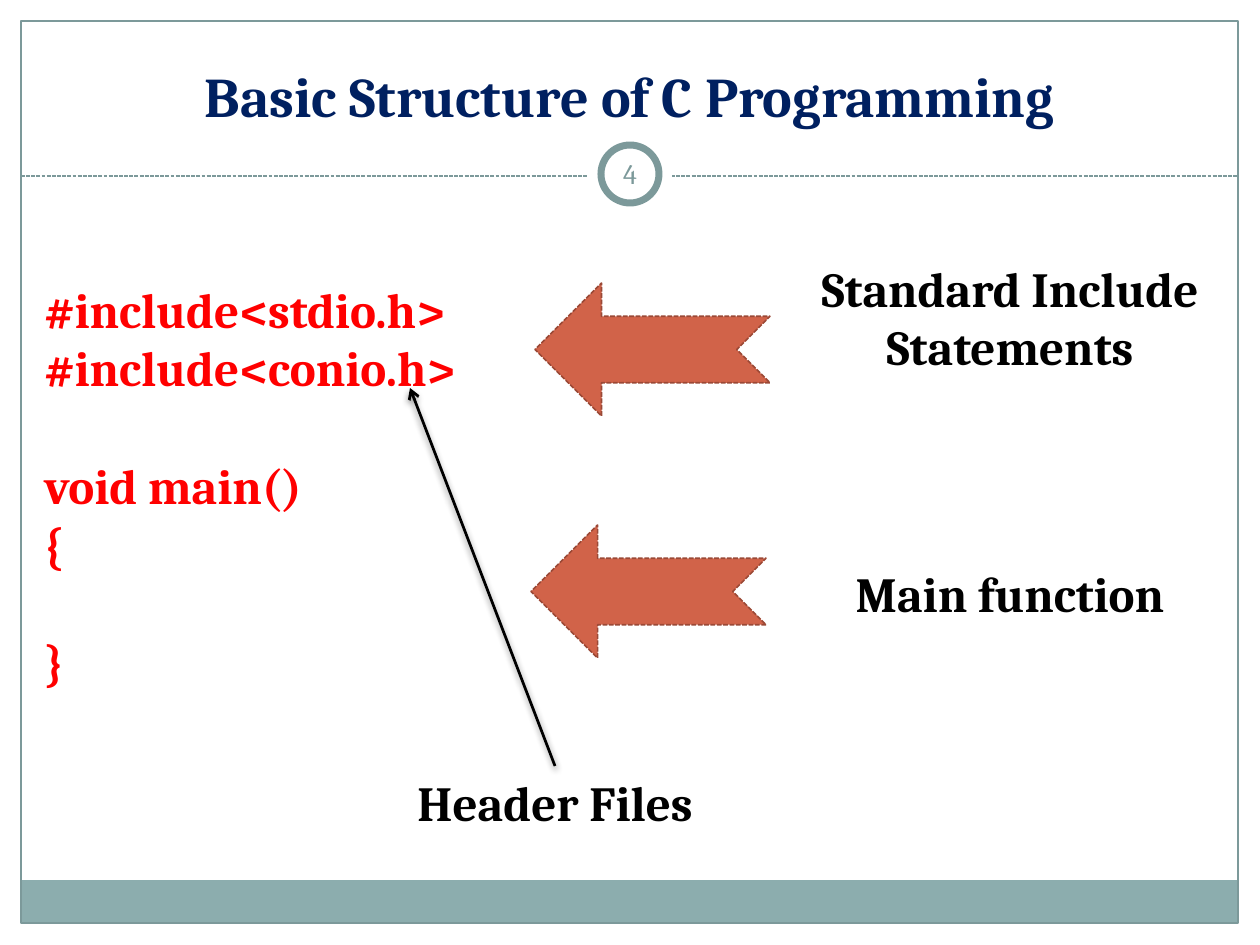
from lxml.etree import SubElement
from pptx import Presentation
from pptx.dml.color import RGBColor
from pptx.enum.dml import MSO_LINE
from pptx.enum.shapes import MSO_CONNECTOR, MSO_SHAPE as SHAPE
from pptx.enum.text import MSO_ANCHOR as ANCHOR, PP_ALIGN as ALIGN
from pptx.oxml.ns import qn
from pptx.util import Pt

PX = 914400 / 126
FONT = "Cambria"
TEAL, BAR, WHITE, BLACK = "7C999A", "8CADAE", "FFFFFF", "000000"
NAVY, RED, RUST, BROWN = "002060", "FF0000", "D16349", "9B4936"

# Content: boxes are left, top, width, height in px
TITLE = "Basic Structure of C Programming"
PAGE = "4"
LINE_GAP = 33.5  # one empty line of code, in points
CODE = [  # text, space before
    ("#include<stdio.h>", 0),
    ("#include<conio.h>", 0),
    ("void main()", LINE_GAP),
    ("{", 0),
    ("}", LINE_GAP),
]
LABELS = [
    ("Standard Include Statements", (780, 252, 460, 190)),
    ("Main function", (780, 557, 460, 72)),
    ("Header Files", (325, 766, 460, 72)),
]
ARROWS = [(535, 283), (531, 525)]
ARROW_SIZE = (235, 133)
POINTER_TIP = (410, 388)
FRAME = (21, 21, 1217, 902)
CENTER = 630
RULE_Y = 176
BADGE_Y = 174


def emu(*lengths):
    return [round(n * PX) for n in lengths]


def rgb(color):
    return RGBColor.from_string(color)


def set_line(line, color, width, dash=None):
    line.color.rgb = rgb(color)
    line.width = Pt(width)
    if dash:
        line.dash_style = dash


def add_shape(kind, box, fill=None, line=None):
    sp = shapes.add_shape(kind, *emu(*box))
    sp.shadow.inherit = False
    if fill:
        sp.fill.solid()
        sp.fill.fore_color.rgb = rgb(fill)
    else:
        sp.fill.background()
    if line:
        set_line(sp.line, *line)
    else:
        sp.line.fill.background()
    return sp


def add_text(paragraphs, box, size, color, bold=True, align=ALIGN.CENTER,
             anchor=ANCHOR.TOP, inset=None):
    sp = shapes.add_textbox(*emu(*box))
    tf = sp.text_frame
    tf.word_wrap = True
    tf.vertical_anchor = anchor
    if inset is not None:
        tf.margin_left = tf.margin_right = tf.margin_top = tf.margin_bottom = emu(inset)[0]
    for i, (text, before) in enumerate(paragraphs):
        p = tf.add_paragraph() if i else tf.paragraphs[0]
        p.alignment = align
        p.space_before = Pt(before)
        r = p.add_run()
        r.text = text
        r.font.name = FONT
        r.font.size = Pt(size)
        r.font.bold = bold
        r.font.color.rgb = rgb(color)
    return sp


def add_line(start, end, color, width, dash=None):
    cx = shapes.add_connector(MSO_CONNECTOR.STRAIGHT, *emu(*start, *end))
    set_line(cx.line, color, width, dash)
    effects = SubElement(cx.line._get_or_add_ln().getparent(), qn("a:effectLst"))
    return cx, effects


def circle(diameter):
    return (CENTER - diameter / 2, BADGE_Y - diameter / 2, diameter, diameter)


prs = Presentation()
prs.slide_width, prs.slide_height = emu(1260, 945)
shapes = prs.slides.add_slide(prs.slide_layouts[6]).shapes

# Frame, bottom bar and dashed rule
left, top, width, height = FRAME
add_shape(SHAPE.RECTANGLE, (left, 880, width, 43), BAR)
add_shape(SHAPE.RECTANGLE, FRAME, line=(TEAL, 0.75))
add_line((left, RULE_Y), (left + width, RULE_Y), TEAL, 0.75, MSO_LINE.SQUARE_DOT)

# Page number badge
add_shape(SHAPE.OVAL, circle(84), WHITE)
add_shape(SHAPE.OVAL, circle(58), WHITE, (TEAL, 4))
add_text([(PAGE, 0)], (598, 143, 64, 60), 16, TEAL, bold=False,
         anchor=ANCHOR.MIDDLE, inset=6)

# Title and code
add_text([(TITLE, 0)], (0, 21, 1260, 148), 32, NAVY, anchor=ANCHOR.MIDDLE)
add_text(CODE, (32, 273, 771, 428), 28, RED, align=ALIGN.LEFT)

# Block arrows pointing left at the code
for position in ARROWS:
    arrow = add_shape(SHAPE.NOTCHED_RIGHT_ARROW, position + ARROW_SIZE, RUST,
                      (BROWN, 0.9, MSO_LINE.SQUARE_DOT))
    arrow.rotation = 180

# Labels; the last one is the start of the pointer
for text, box in LABELS:
    label = add_text([(text, 0)], box, 28, BLACK)

# Pointer from the header files label to the include lines
pointer, effects = add_line((555, 766), POINTER_TIP, BLACK, 1.57)
pointer.begin_connect(label, 0)
SubElement(pointer.line._get_or_add_ln(), qn("a:tailEnd"), type="arrow")
shadow = SubElement(effects, qn("a:outerShdw"), blurRad=str(Pt(4)), dist=str(Pt(2)),
                    dir="5400000", rotWithShape="0")
shadow_color = SubElement(shadow, qn("a:srgbClr"), val=BLACK)
SubElement(shadow_color, qn("a:alpha"), val="45000")

prs.save("out.pptx")
